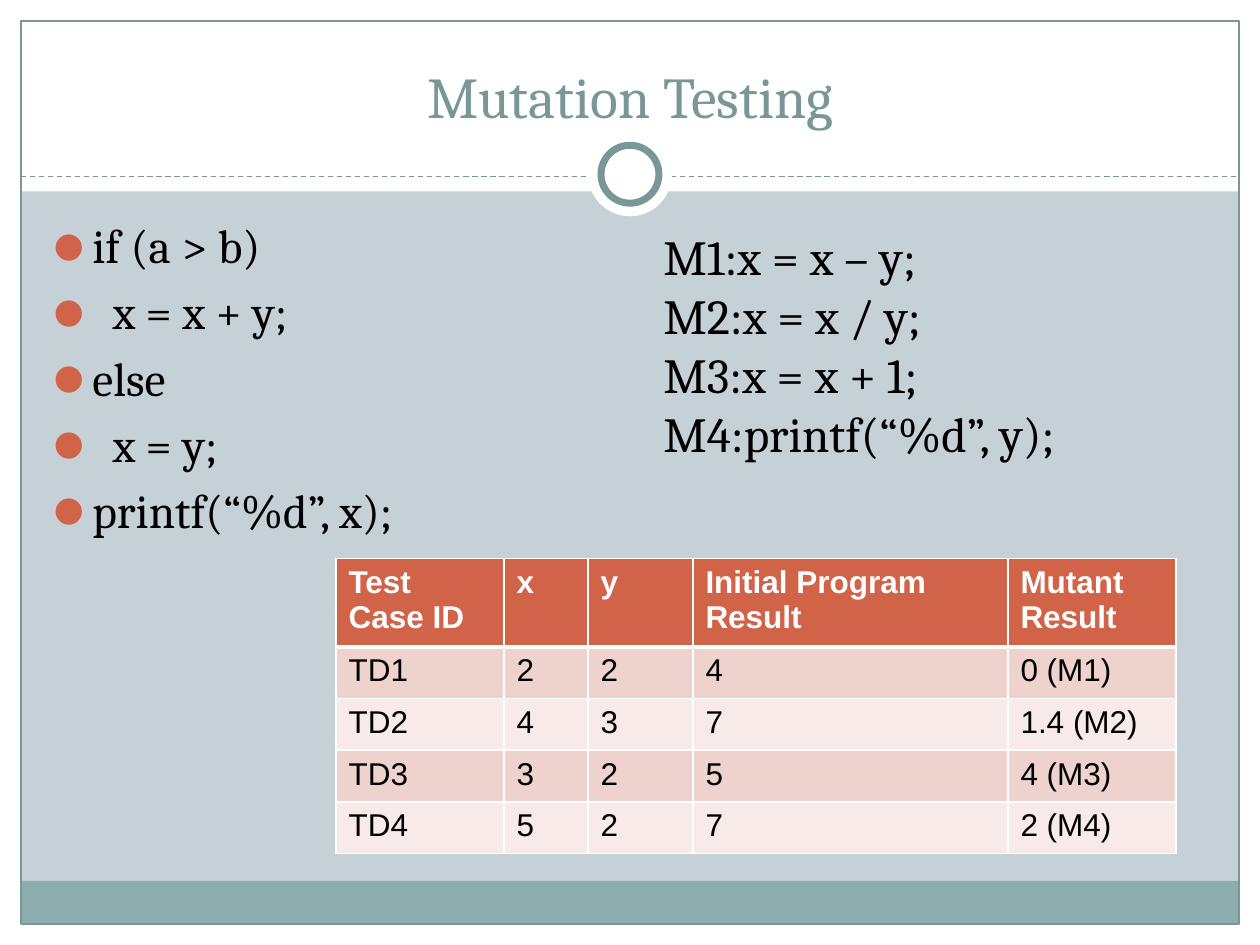
from lxml.etree import SubElement
from pptx import Presentation
from pptx.dml.color import RGBColor
from pptx.enum.dml import MSO_LINE_DASH_STYLE as Dash
from pptx.enum.shapes import MSO_CONNECTOR as Connector, MSO_SHAPE as Shape
from pptx.enum.text import MSO_ANCHOR as Anchor, MSO_AUTO_SIZE as AutoSize, PP_ALIGN as Align
from pptx.oxml.ns import qn
from pptx.util import Inches, Pt

WHITE = RGBColor(0xFF, 0xFF, 0xFF)
BLACK = RGBColor(0, 0, 0)
MIST = RGBColor(0xC5, 0xD1, 0xD7)
TEAL = RGBColor(0x7A, 0x97, 0x98)
FOOTER_TEAL = RGBColor(0x8C, 0xAD, 0xAE)
RUST = RGBColor(0xD1, 0x63, 0x49)
BANDS = RGBColor(0xEE, 0xD2, 0xCE), RGBColor(0xF7, 0xEA, 0xE8)

COLUMNS, ROWS = 60, 45
CELL = Inches(10) / COLUMNS

PROGRAM = [("if (a > b)", 0), ("x = x + y;", 1), ("else", 0), ("x = y;", 1), ("printf(“%d”, x);", 0)]
MUTANTS = ["M1:x = x – y;", "M2:x = x / y;", "M3:x = x + 1;", "M4:printf(“%d”, y);"]
RESULTS = [
    ["Test Case ID", "x", "y", "Initial Program Result", "Mutant Result"],
    ["TD1", "2", "2", "4", "0 (M1)"],
    ["TD2", "4", "3", "7", "1.4 (M2)"],
    ["TD3", "3", "2", "5", "4 (M3)"],
    ["TD4", "5", "2", "7", "2 (M4)"],
]
RESULT_COLUMNS = [8, 4, 5, 15, 8]


def grid(*cells):
    """Turn grid columns and rows into lengths."""
    return [round(cell * CELL) for cell in cells]


def place(shape, box):
    """Move a shape to a box given in grid cells."""
    shape.left, shape.top, shape.width, shape.height = grid(*box)


def set_font(font, name, size, color, bold=False):
    """Format the font of a paragraph."""
    font.name, font.size, font.bold = name, Pt(size), bold
    font.color.rgb = color


def add_panel(slide, box, fill=None, line=None, width=0.75, kind=Shape.RECTANGLE):
    """Add a plain shape with an optional fill and outline."""
    panel = slide.shapes.add_shape(kind, *grid(*box))
    panel.shadow.inherit = False
    if fill is None:
        panel.fill.background()
    else:
        panel.fill.solid()
        panel.fill.fore_color.rgb = fill
    if line is None:
        panel.line.fill.background()
    else:
        panel.line.color.rgb = line
        panel.line.width = Pt(width)


def add_frame(slide, box):
    """Draw the margins, header, footer band, border and ring around the box."""
    left, top, width, height = box
    right, bottom = left + width, top + height
    margins = [
        (0, bottom, COLUMNS, ROWS - bottom),
        (0, 0, COLUMNS, 9.12),
        (0, 0, left, ROWS),
        (right, 0, COLUMNS - right, ROWS),
    ]
    for margin in margins:
        add_panel(slide, margin, WHITE)
    add_panel(slide, (left, bottom - 2.05, width, 2.05), FOOTER_TEAL)
    add_panel(slide, box, line=TEAL)

    divider_row = top + 7.4
    divider = slide.shapes.add_connector(
        Connector.STRAIGHT, *grid(left, divider_row, right, divider_row))
    divider.line.color.rgb = TEAL
    divider.line.width = Pt(0.75)
    divider.line.dash_style = Dash.DASH
    SubElement(divider._element.spPr, qn("a:effectLst"))

    center, middle = left + width / 2, top + 7.3
    for size, line in ((4, None), (2.76, TEAL)):
        ring = (center - size / 2, middle - size / 2, size, size)
        add_panel(slide, ring, WHITE, line, 4, Shape.OVAL)


def add_title(slide, box):
    """Fill the title placeholder."""
    title = slide.shapes.title
    place(title, box)
    frame = title.text_frame
    frame.text = "Mutation Testing"
    frame.vertical_anchor = Anchor.BOTTOM
    frame.auto_size = AutoSize.NONE
    heading = frame.paragraphs[0]
    heading.alignment = Align.CENTER
    set_font(heading.font, "Cambria", 33, TEAL)


def add_bullet(paragraph, margin, hanging):
    """Give a paragraph a round rust bullet."""
    properties = paragraph._p.get_or_add_pPr()
    properties.set("marL", str(Inches(margin)))
    properties.set("indent", str(-Inches(hanging)))
    color = SubElement(properties, qn("a:buClr"))
    SubElement(color, qn("a:srgbClr"), val=str(RUST))
    SubElement(properties, qn("a:buChar"), char="⚫")


def add_program(slide, box):
    """List the program under test in the body placeholder."""
    body = slide.placeholders[1]
    place(body, box)
    frame = body.text_frame
    frame.auto_size = AutoSize.NONE
    frame.text = "\n".join(code for code, _ in PROGRAM)
    for index, (paragraph, (_, depth)) in enumerate(zip(frame.paragraphs, PROGRAM)):
        paragraph.space_before = Pt(5.4 if index else 0)
        set_font(paragraph.font, "Cambria", 27, BLACK)
        text_start = 0.3 + 0.16 * depth
        add_bullet(paragraph, text_start, text_start)


def add_mutants(slide, box):
    """List the mutated statements."""
    frame = slide.shapes.add_textbox(*grid(*box)).text_frame
    frame.word_wrap = True
    frame.auto_size = AutoSize.SHAPE_TO_FIT_TEXT
    frame.text = "\n".join(MUTANTS)
    for paragraph in frame.paragraphs:
        set_font(paragraph.font, "Cambria", 28, BLACK)


def add_borders(cell, top, bottom):
    """Draw white borders around a table cell."""
    properties = cell._tc.get_or_add_tcPr()
    for side, width in (("L", 1), ("R", 1), ("T", top), ("B", bottom)):
        border = SubElement(properties, qn(f"a:ln{side}"), w=str(Pt(width)))
        fill = SubElement(border, qn("a:solidFill"))
        SubElement(fill, qn("a:srgbClr"), val=str(WHITE))


def add_results(slide, box):
    """Add the table of test cases and results."""
    table = slide.shapes.add_table(len(RESULTS), len(RESULT_COLUMNS), *grid(*box)).table
    share = box[2] / sum(RESULT_COLUMNS)
    for column, width in zip(table.columns, RESULT_COLUMNS):
        column.width = grid(width * share)[0]
    for row, values in enumerate(RESULTS):
        header = row == 0
        for column, value in enumerate(values):
            cell = table.cell(row, column)
            cell.text = value
            add_borders(cell, 3 if row == 1 else 1, 3 if header else 1)
            cell.fill.solid()
            cell.fill.fore_color.rgb = RUST if header else BANDS[(row - 1) % 2]
            set_font(cell.text_frame.paragraphs[0].font, "Arial", 18,
                     WHITE if header else BLACK, header)


def main():
    """Build and save the slide."""
    deck = Presentation()
    deck.slide_width, deck.slide_height = grid(COLUMNS, ROWS)
    slide = deck.slides.add_slide(deck.slide_layouts[1])
    slide.background.fill.solid()
    slide.background.fill.fore_color.rgb = MIST
    add_frame(slide, (1, 1, 58, 43))
    tree = slide.shapes._spTree
    for placeholder in list(slide.placeholders):
        tree.append(placeholder._element)
    add_title(slide, (2, 1.5, 56, 5))
    add_program(slide, (2, 10, 22, 30))
    add_mutants(slide, (31, 10.5, 23, 11.94))
    add_results(slide, (16, 26.6, 40, 12.3))
    deck.save("out.pptx")


if __name__ == "__main__":
    main()
